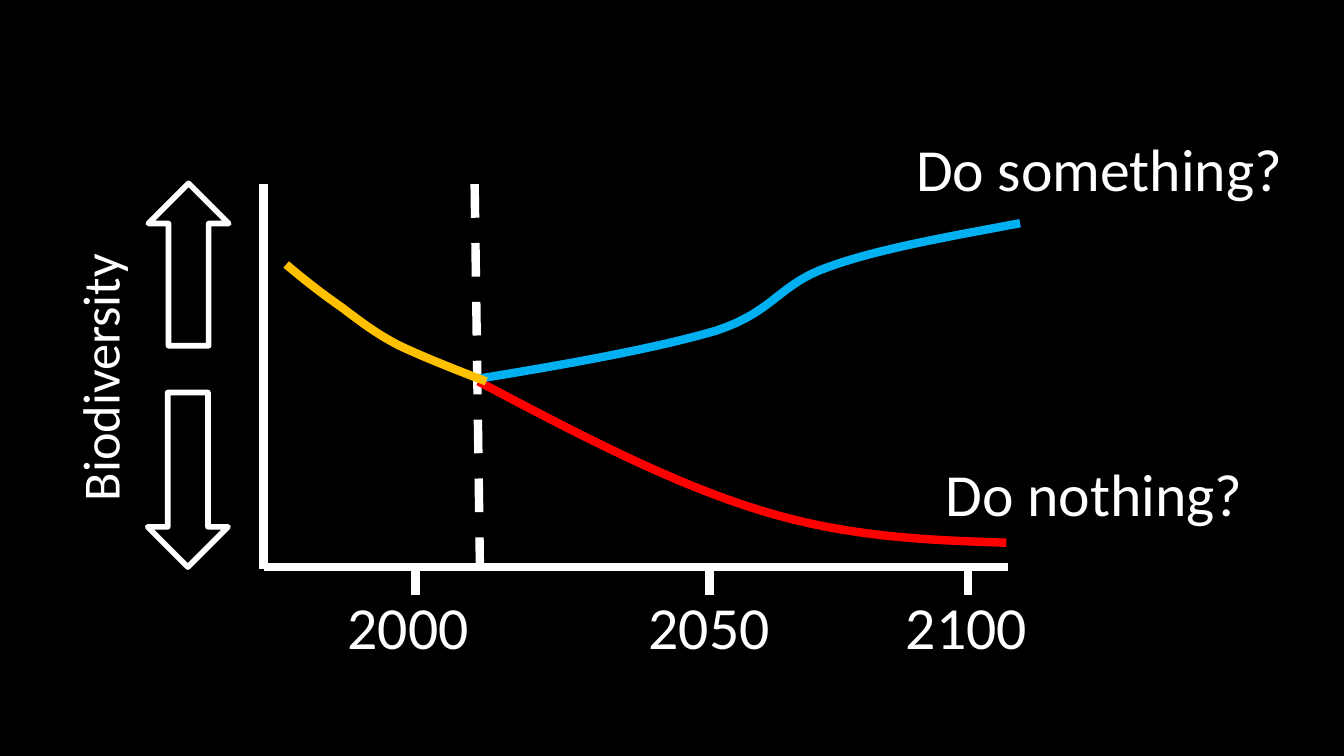
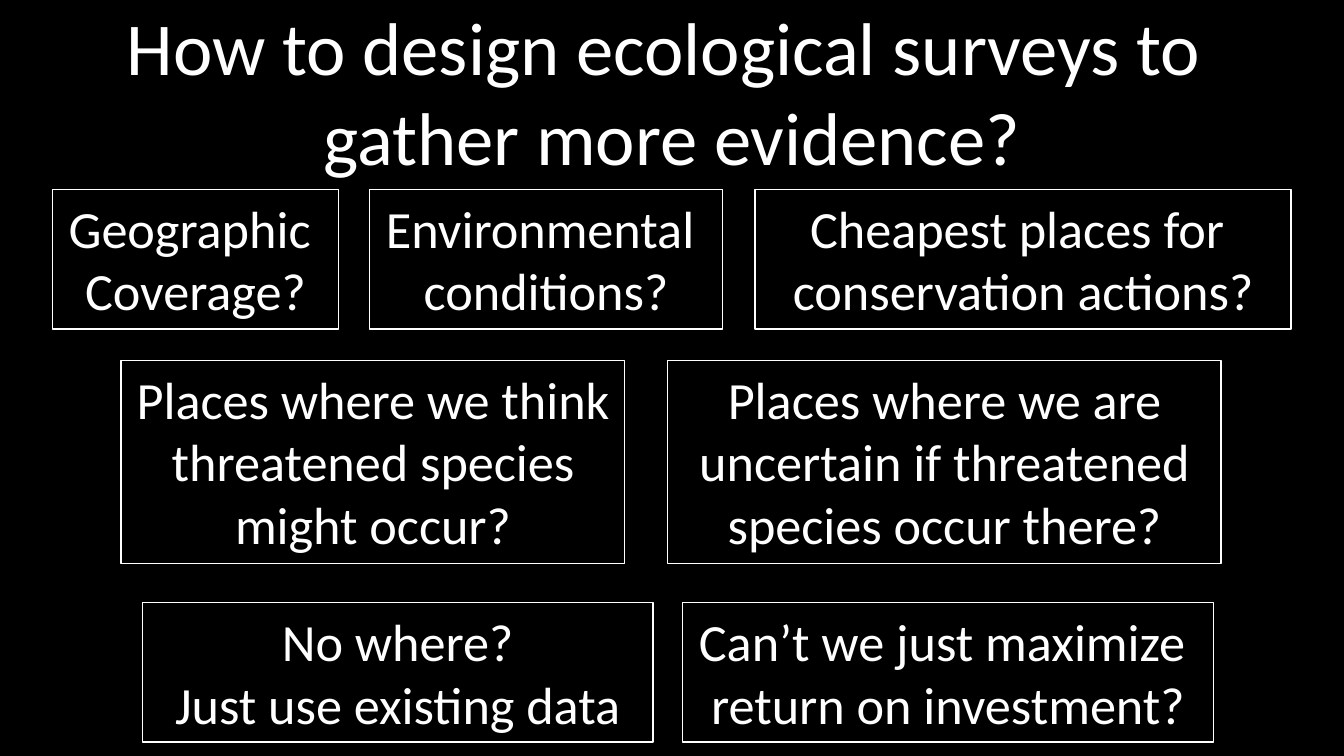
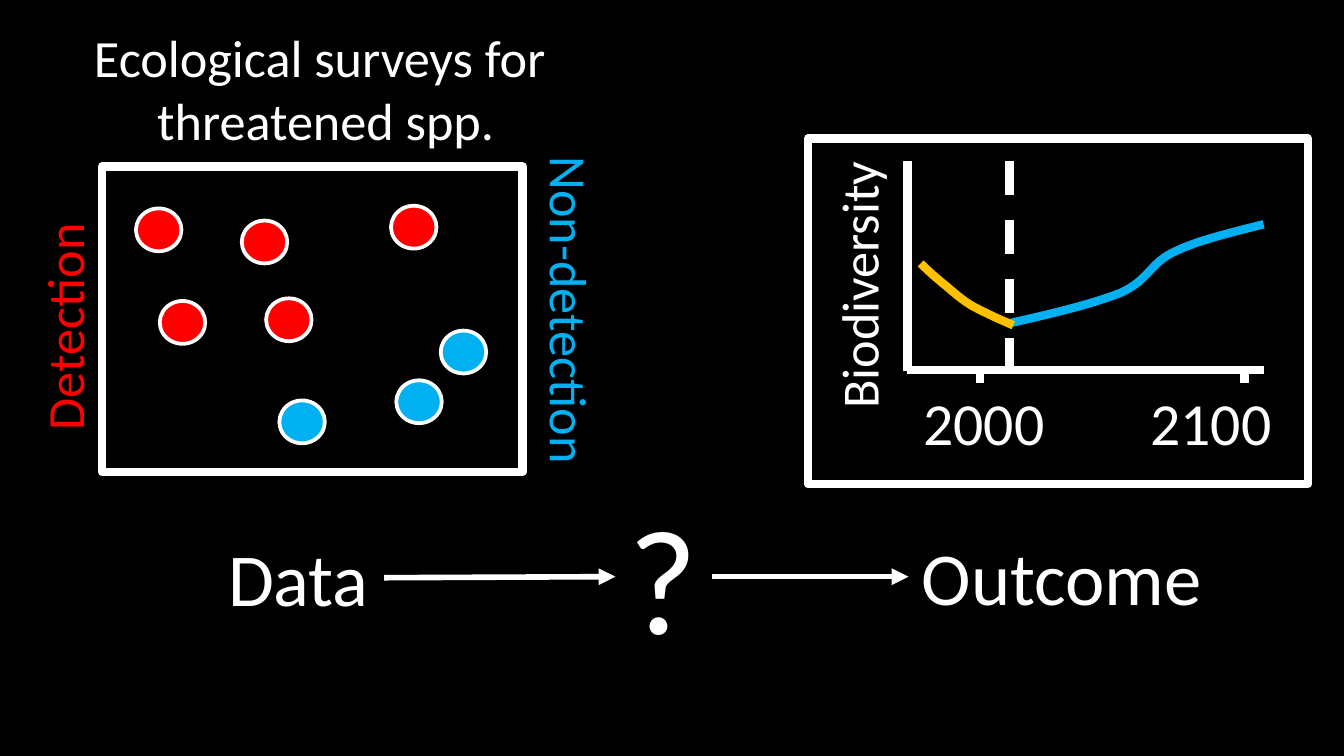
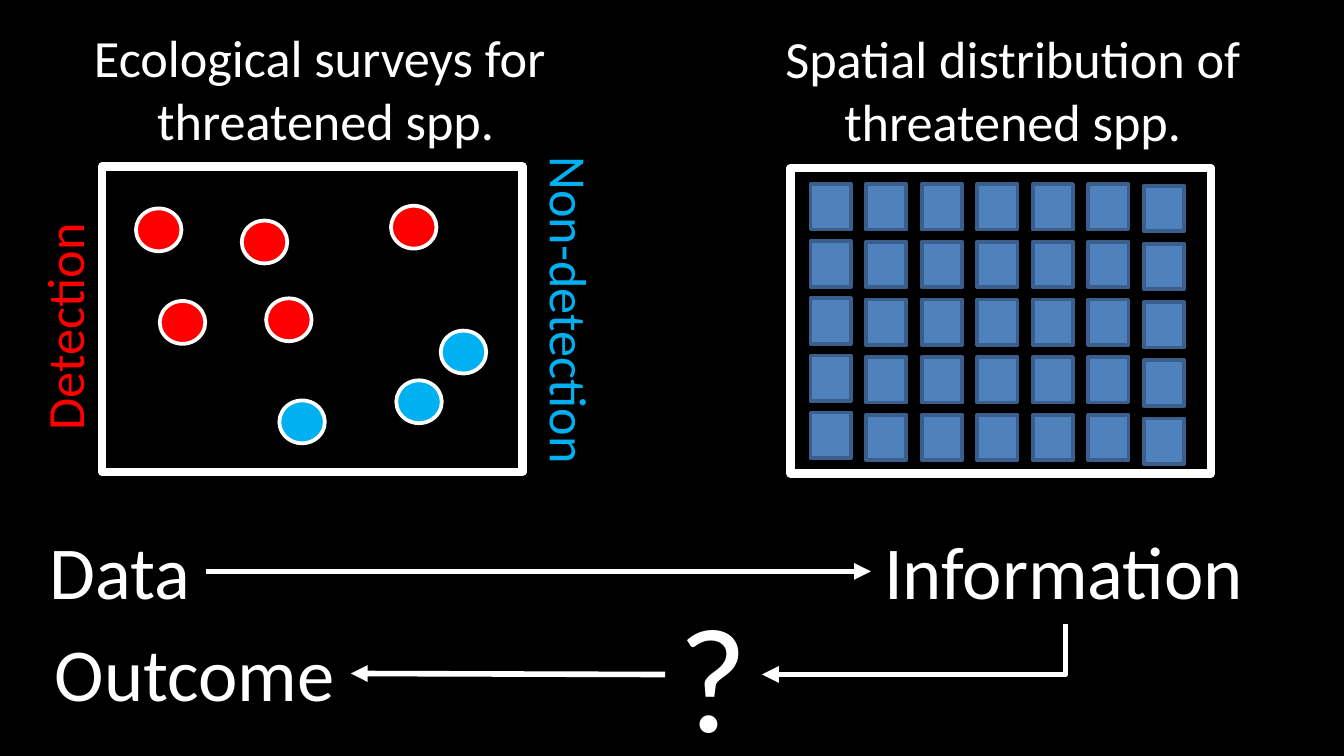
from lxml import etree
from pptx import Presentation
from pptx.dml.color import RGBColor
from pptx.enum.dml import MSO_LINE
from pptx.enum.shapes import MSO_CONNECTOR as Link, MSO_SHAPE as Preset
from pptx.enum.text import MSO_ANCHOR as Anchor, MSO_AUTO_SIZE as AutoSize, PP_ALIGN as Align
from pptx.oxml.ns import qn
from pptx.util import Cm, Pt

COLORS = {
    "background": "000000",
    "ink": "FFFFFF",
    "decline": "FF0000",
    "recovery": "00B0F0",
    "past": "FFC000",
    "cell": "4F81BD",
    "cell_edge": "3A5F8C",
}
FONT = "Calibri"
TITLE_ONLY, BLANK = 5, 6
HEAVY, MEDIUM, THIN = 4.5, 3, 0.75
CURVE_STEPS = 16

# Bezier points in cm: a start, then two controls and an end per segment
DECLINE = [(9.04, 7.21), (10.87, 8.18), (12.7, 9.14), (14.38, 9.65),
           (16.03, 10.16), (17.53, 10.21), (19.02, 10.26)]
RECOVERY = [(9.04, 7.16), (10.76, 6.88), (12.42, 6.58), (13.54, 6.25),
            (14.63, 5.89), (14.71, 5.38), (15.65, 5.05),
            (16.61, 4.7), (17.96, 4.47), (19.28, 4.22)]
PAST = [(5.41, 5), (5.74, 5.28), (6.07, 5.54), (6.43, 5.79),
        (6.78, 6.05), (7.09, 6.3), (7.54, 6.53),
        (8.03, 6.76), (8.61, 6.99), (9.19, 7.21)]


def rgb(name):
    return RGBColor.from_string(COLORS[name])


def write(frame, text, size=28, color="ink", align=Align.LEFT):
    """Fill a text frame, one paragraph per line of text."""
    frame.text = text
    for paragraph in frame.paragraphs:
        paragraph.alignment = align
        for run in paragraph.runs:
            run.font.name = FONT
            run.font.size = Pt(size)
            run.font.color.rgb = rgb(color)


def fit(points, box):
    """Scale points so that they fill the box."""
    left, top, width, height = box
    xs, ys = zip(*points)
    x_scale = width / (max(xs) - min(xs))
    y_scale = height / (max(ys) - min(ys))
    return [(left + (x - min(xs)) * x_scale, top + (y - min(ys)) * y_scale)
            for x, y in points]


def trace(points):
    """Sample a chain of cubic Bezier segments."""
    traced = [points[0]]
    for first in range(0, len(points) - 1, 3):
        segment = points[first:first + 4]
        for step in range(1, CURVE_STEPS + 1):
            t = step / CURVE_STEPS
            weights = ((1 - t) ** 3, 3 * t * (1 - t) ** 2, 3 * t ** 2 * (1 - t), t ** 3)
            traced.append(tuple(sum(weight * point[axis] for weight, point in zip(weights, segment))
                                for axis in (0, 1)))
    return traced


class Deck:
    """Holds the shared style and the current slide."""

    def __init__(self):
        self.presentation = Presentation()
        self.presentation.slide_width = Cm(25.4)
        self.presentation.slide_height = Cm(14.29)
        fill = self.presentation.slide_master.background.fill
        fill.solid()
        fill.fore_color.rgb = rgb("background")
        self.slide = None

    def add_slide(self, layout=BLANK):
        self.slide = self.presentation.slides.add_slide(self.presentation.slide_layouts[layout])

    def title(self, text, left, top, width, height):
        shape = self.slide.shapes.title
        shape.left, shape.top, shape.width, shape.height = map(Cm, (left, top, width, height))
        frame = shape.text_frame
        frame.auto_size = AutoSize.NONE
        frame.vertical_anchor = Anchor.MIDDLE
        write(frame, text, size=40, align=Align.CENTER)

    def text(self, text, left, top, width, height, rotation=0, wrap=False, border=False, **style):
        shape = self.slide.shapes.add_textbox(*map(Cm, (left, top, width, height)))
        shape.rotation = rotation
        frame = shape.text_frame
        frame.word_wrap = wrap
        frame.auto_size = AutoSize.SHAPE_TO_FIT_TEXT
        write(frame, text, **style)
        if border:
            self.stroke(shape.line, THIN)

    def stroke(self, line, width, color="ink"):
        line.color.rgb = rgb(color)
        line.width = Pt(width)

    def outline(self, shape, fill, width, color):
        shape.shadow.inherit = False
        if fill:
            shape.fill.solid()
            shape.fill.fore_color.rgb = rgb(fill)
        else:
            shape.fill.background()
        self.stroke(shape.line, width, color)

    def shape(self, preset, left, top, width, height, fill=None, line=HEAVY, color="ink", rotation=0):
        shape = self.slide.shapes.add_shape(preset, *map(Cm, (left, top, width, height)))
        shape.rotation = rotation
        self.outline(shape, fill, line, color)

    def line(self, start, end, width=HEAVY, dashed=False, arrow=False, kind=Link.STRAIGHT):
        connector = self.slide.shapes.add_connector(kind, *map(Cm, (*start, *end)))
        self.stroke(connector.line, width)
        if dashed:
            connector.line.dash_style = MSO_LINE.DASH
        properties = connector.element.spPr
        if arrow:
            etree.SubElement(properties.find(qn("a:ln")), qn("a:tailEnd"), type="triangle")
        etree.SubElement(properties, qn("a:effectLst"))
        return connector

    def arrow(self, start, end):
        self.line(start, end, width=MEDIUM, arrow=True)

    def corner_arrow(self, start, end):
        """Arrow that goes down from start, then left to end."""
        across, down = start[0] - end[0], end[1] - start[1]
        left = (start[0] + end[0] - down) / 2
        top = (start[1] + end[1] - across) / 2
        connector = self.line((left, top), (left + down, top + across),
                              width=MEDIUM, arrow=True, kind=Link.ELBOW)
        properties = connector.element.spPr
        properties.find(qn("a:xfrm")).set("rot", str(90 * 60000))
        properties.find(qn("a:prstGeom")).set("prst", "bentConnector2")

    def curve(self, points, color):
        start, *others = [(Cm(x), Cm(y)) for x, y in trace(points)]
        builder = self.slide.shapes.build_freeform(*start)
        builder.add_line_segments(others, close=False)
        self.outline(builder.convert_to_shape(), None, HEAVY, color)

    def axes(self, left, top, right, bottom, today, ticks, tick_length, label_top):
        """Axes, the dashed line of today, and ticks of (year, x, label left)."""
        self.line((left, top), (left, bottom + 0.03))
        self.line((left, bottom), (right, bottom))
        self.line((today[0], top), (today[1], bottom), dashed=True)
        for year, x, label_left in ticks:
            self.text(year, label_left, label_top, 2.82, 1.63, size=32)
            self.line((x, bottom), (x, bottom + tick_length))

    def panel(self, heading, left, top, heading_left, heading_top, heading_width):
        self.shape(Preset.RECTANGLE, left, top, 7.95, 5.77)
        self.text(heading, heading_left, heading_top, heading_width, 2.64, align=Align.CENTER)

    def survey(self):
        """Survey area with detections and non-detections."""
        self.panel("Ecological surveys for \nthreatened spp.", 1.93, 3.15, 1.47, 0.36, 9.37)
        dots = {
            "decline": [(2.57, 3.94), (7.39, 3.89), (5.03, 5.64), (4.57, 4.17), (3.02, 5.69)],
            "recovery": [(8.33, 6.25), (7.49, 7.19), (5.28, 7.57)],
        }
        for color, places in dots.items():
            for left, top in places:
                self.shape(Preset.OVAL, left, top, 0.86, 0.81, fill=color, line=2)
        self.text("Detection", -1.27, 5.18, 4.95, 1.45, rotation=270, color="decline")
        self.text("Non-detection", 7.59, 5.18, 6.38, 1.45, rotation=90, color="recovery")

    def step(self, text, left, top, width):
        self.text(text, left, top, width, 1.96, size=40)

    def question(self, left, top):
        self.text("?", left, top, 1.83, 3.68, size=80)


def scenarios(deck):
    deck.add_slide()
    deck.axes(4.98, 3.48, 19.05, 10.72, (8.97, 9.07),
              [("2000", 7.85, 6.32), ("2050", 13.41, 12.01), ("2100", 18.29, 16.87)], 0.53, 11.02)
    deck.text("Biodiversity", -0.74, 6.38, 5.23, 1.45, rotation=270)
    deck.shape(Preset.RIGHT_ARROW, 2.03, 4.24, 3.07, 1.52, line=MEDIUM, rotation=270)
    deck.shape(Preset.RIGHT_ARROW, 1.9, 8.31, 3.3, 1.52, line=MEDIUM, rotation=90)
    deck.curve(DECLINE, "decline")
    deck.curve(RECOVERY, "recovery")
    deck.curve(PAST, "past")
    deck.text("Do nothing?", 17.58, 8.51, 6.2, 1.63, size=32, align=Align.CENTER)
    deck.text("Do something?", 17.02, 2.36, 7.52, 1.63, size=32, align=Align.CENTER)


def survey_design(deck):
    deck.add_slide(TITLE_ONLY)
    deck.title("How to design ecological surveys to \vgather more evidence?", 0, -0.08, 25.4, 3.58)
    # Rows of options: top, height, then (text, left, width)
    rows = [
        (3.58, 2.64, [("Geographic \nCoverage?", 0.99, 5.41),
                      ("Environmental \nconditions?", 6.98, 6.68),
                      ("Cheapest places for \nconservation actions?", 14.27, 10.13)]),
        (6.81, 3.84, [("Places where we think threatened species\nmight occur?", 2.29, 9.52),
                      ("Places where we are uncertain if threatened species occur there?", 12.62, 10.46)]),
        (11.39, 2.64, [("No where?\nJust use existing data", 2.69, 9.65),
                       ("Can’t we just maximize \nreturn on investment?", 12.9, 10.03)]),
    ]
    for top, height, options in rows:
        for text, left, width in options:
            deck.text(text, left, top, width, height, wrap=True, border=True, align=Align.CENTER)


def data_to_outcome(deck):
    deck.add_slide()
    # Flow from data to outcome
    deck.step("Outcome", 17.17, 9.91, 5.84)
    deck.step("Data", 4.06, 9.93, 3.2)
    deck.question(11.63, 9.04)
    deck.arrow((7.26, 10.92), (11.63, 10.9))
    deck.arrow((13.46, 10.9), (17.17, 10.9))
    # Outcome graph
    deck.axes(17.15, 3.05, 23.88, 6.99, (19.08, 19.08),
              [("2000", 18.52, 17.2), ("2100", 23.52, 21.49)], 0.25, 7.16)
    deck.text("Biodiversity", 13.54, 4.57, 5.36, 1.45, rotation=270)
    deck.curve(fit(RECOVERY, (19.08, 4.24, 4.8, 1.87)), "recovery")
    deck.curve(fit(PAST, (17.4, 4.98, 1.75, 1.17)), "past")
    deck.shape(Preset.RECTANGLE, 15.27, 2.62, 9.45, 6.53)
    deck.survey()


def data_to_information(deck):
    deck.add_slide()
    deck.survey()
    deck.panel("Spatial distribution of\nthreatened spp.", 14.94, 3.18, 14.53, 0.38, 9.22)
    # Map cells: top and row pitch of each column
    columns = [(3.48, 1.08)] + [(3.48, 1.09)] * 5 + [(3.51, 1.1)]
    for column, (top, pitch) in enumerate(columns):
        for row in range(5):
            deck.shape(Preset.RECTANGLE, 15.32 + column * 1.05, top + row * pitch, 0.76, 0.86,
                       fill="cell", line=2, color="cell_edge")
    # Flow from data through information to outcome
    deck.step("Data", 0.69, 9.8, 3.2)
    deck.step("Information", 16.46, 9.8, 7.39)
    deck.step("Outcome", 0.79, 11.73, 5.84)
    deck.question(12.57, 10.9)
    deck.arrow((3.89, 10.8), (16.46, 10.8))
    deck.arrow((12.57, 12.75), (6.63, 12.73))
    deck.corner_arrow((20.14, 11.79), (14.4, 12.75))


def main():
    deck = Deck()
    for build in (scenarios, survey_design, data_to_outcome, data_to_information):
        build(deck)
    deck.presentation.save("out.pptx")


if __name__ == "__main__":
    main()
